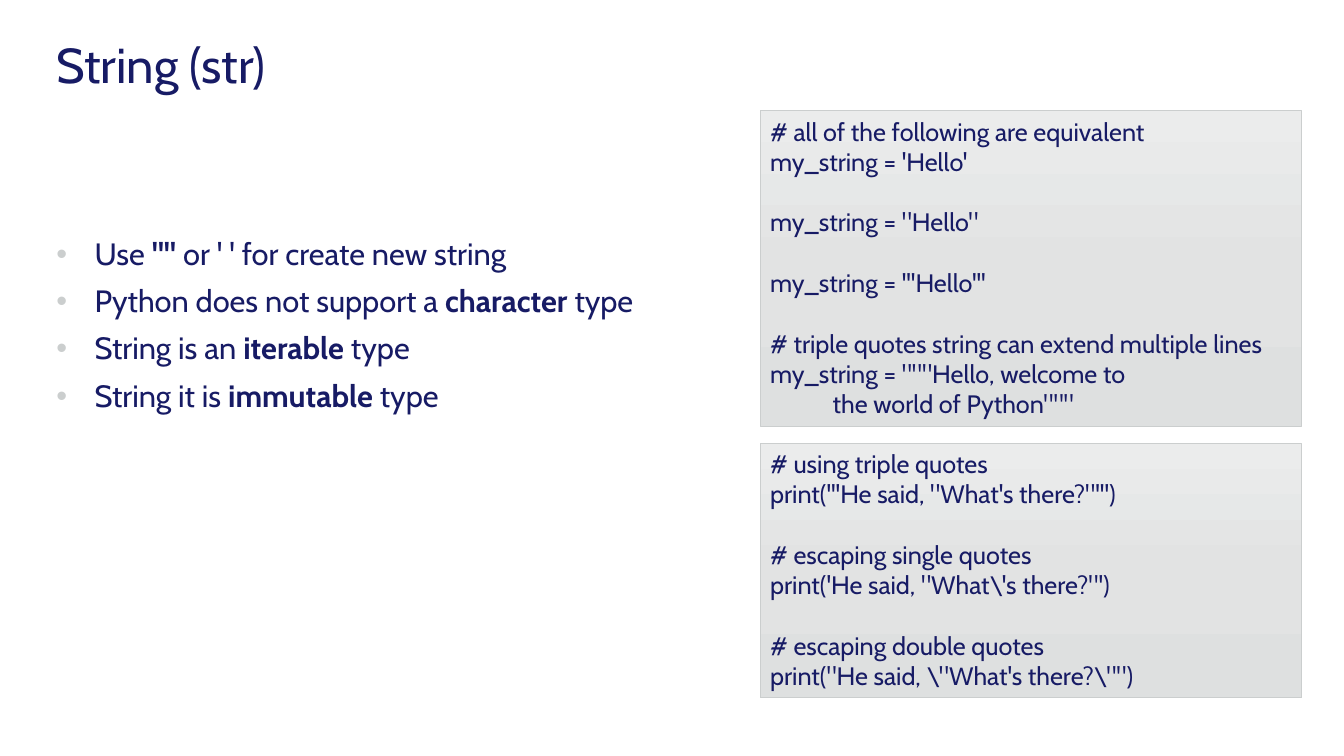
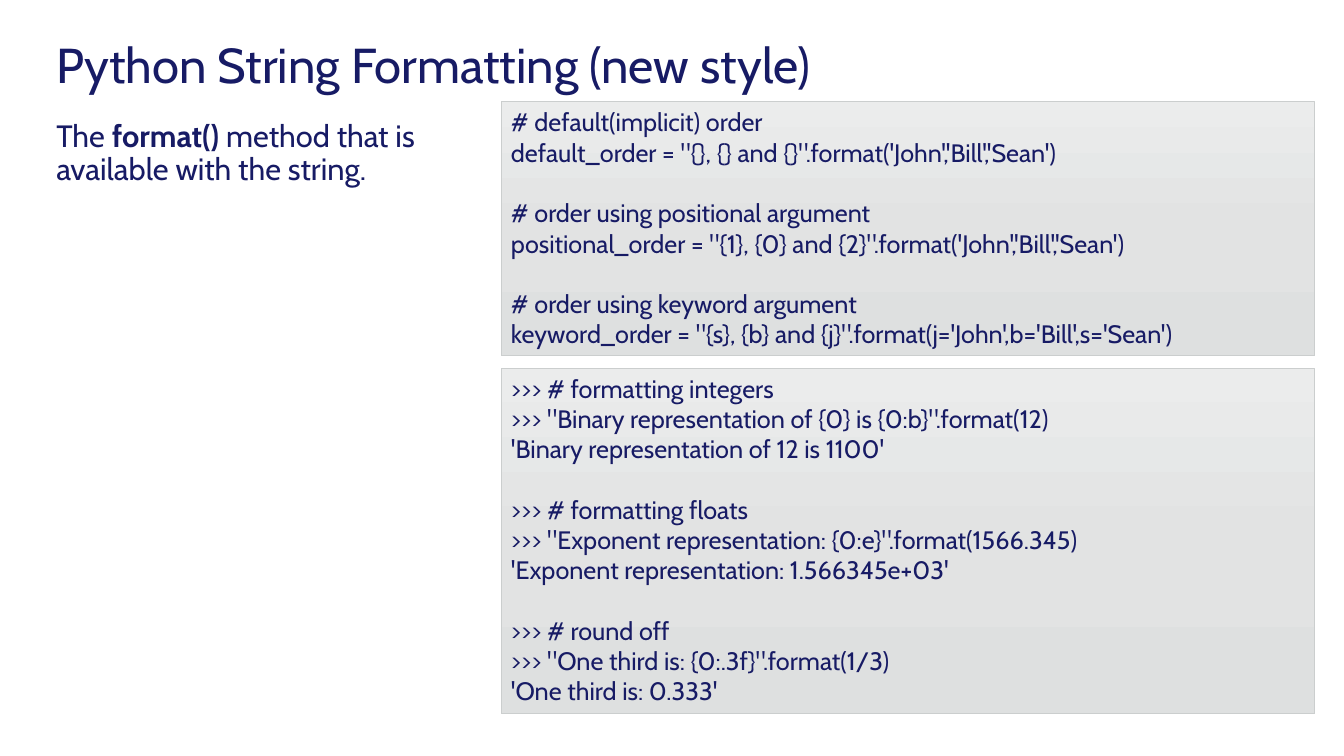
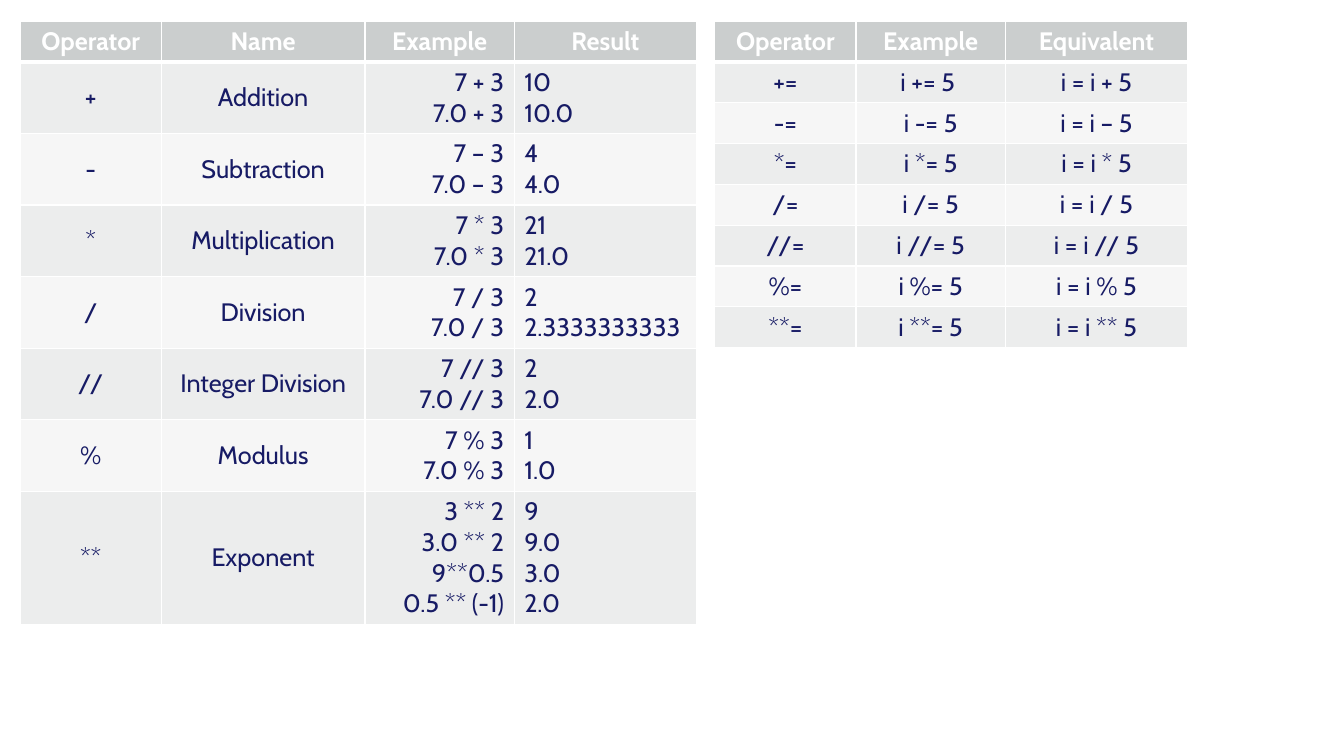
"""Build three slides on Python strings and operators."""
from lxml import etree
from pptx import Presentation
from pptx.dml.color import RGBColor
from pptx.enum.shapes import MSO_SHAPE
from pptx.enum.text import MSO_ANCHOR, MSO_AUTO_SIZE, PP_ALIGN
from pptx.oxml import parse_xml
from pptx.oxml.ns import nsdecls, qn
from pptx.util import Inches, Pt

RECTANGLE = MSO_SHAPE.RECTANGLE
TOP, MIDDLE = MSO_ANCHOR.TOP, MSO_ANCHOR.MIDDLE
NO_FIT, GROW = MSO_AUTO_SIZE.NONE, MSO_AUTO_SIZE.SHAPE_TO_FIT_TEXT
LEFT, CENTER, RIGHT = PP_ALIGN.LEFT, PP_ALIGN.CENTER, PP_ALIGN.RIGHT

FONT = "Cabin"
NAVY, WHITE, GRAY = "171B65", "FFFFFF", "CBCECE"
BANDS = ("ECEDED", "F6F6F6")
CODE_GRADIENT = ((0, "EBECEC"), (50, "E2E3E3"), (100, "DEE0E0"))
TITLE_SIZE, BODY_SIZE, CODE_SIZE = 35, 22, 18
CODE_GAP = 21.7
CONTINUATION_INDENT = 0.62
BULLET_INDENT = 0.38
CELL_PADDING, CELL_LINE = 0.1, 0.305

TEXT_SLIDES = [
    {
        "title": "String (str)",
        "body": [
            [("Use ", False), ('"" ', True), ("or ' ' for create new string", False)],
            [("Python does not support a ", False), ("character ", True), ("type", False)],
            [("String is an ", False), ("iterable", True), (" type", False)],
            [("String it is ", False), ("immutable ", True), ("type", False)],
        ],
        "body_box": (0.46, 2.32, 6.85, 4),
        "bullets": True,
        "code": [
            ((7.54, 1.1, 5.37, 3.13), [
                ["# all of the following are equivalent", "my_string = 'Hello'"],
                ['my_string = "Hello"'],
                ["my_string = '''Hello'''"],
                ["# triple quotes string can extend multiple lines",
                 'my_string = """Hello, welcome to',
                 '\tthe world of Python"""'],
            ]),
            ((7.54, 4.4, 5.37, 2.52), [
                ["# using triple quotes", "print('''He said, \"What's there?\"''')"],
                ["# escaping single quotes", r"""print('He said, "What\'s there?"')"""],
                ["# escaping double quotes", r'''print("He said, \"What's there?\"")'''],
            ]),
        ],
    },
    {
        "title": "Python String Formatting (new style)",
        "body": [
            [("The ", False), ("format() ", True),
             ("method that is available with the string.", False)],
        ],
        "body_box": (0.46, 1.15, 4.18, 5.37),
        "bullets": False,
        "code": [
            ((4.97, 1.01, 8.07, 2.52), [
                ["# default(implicit) order",
                 "default_order = \"{}, {} and {}\".format('John','Bill','Sean')"],
                ["# order using positional argument",
                 "positional_order = \"{1}, {0} and {2}\".format('John','Bill','Sean')"],
                ["# order using keyword argument",
                 "keyword_order = \"{s}, {b} and {j}\".format(j='John',b='Bill',s='Sean')"],
            ]),
            ((4.97, 3.65, 8.07, 3.43), [
                [">>> # formatting integers",
                 '>>> "Binary representation of {0} is {0:b}".format(12)',
                 "'Binary representation of 12 is 1100'"],
                [">>> # formatting floats",
                 '>>> "Exponent representation: {0:e}".format(1566.345)',
                 "'Exponent representation: 1.566345e+03'"],
                [">>> # round off",
                 '>>> "One third is: {0:.3f}".format(1/3)',
                 "'One third is: 0.333'"],
            ]),
        ],
    },
]

TABLES = [
    {
        "left": 0.2,
        "widths": (1.4, 2.02, 1.48, 1.81),
        "alignments": (CENTER, CENTER, RIGHT, LEFT),
        "rows": [
            ("Operator", "Name", "Example", "Result"),
            ("+", "Addition", "7 + 3\n7.0 + 3", "10\n10.0"),
            ("-", "Subtraction", "7 – 3\n7.0 – 3", "4\n4.0"),
            ("*", "Multiplication", "7 * 3\n7.0 * 3", "21\n21.0"),
            ("/", "Division", "7 / 3\n7.0 / 3", "2\n2.3333333333"),
            ("//", "Integer Division", "7 // 3\n7.0 // 3", "2\n2.0"),
            ("%", "Modulus", "7 % 3\n7.0 % 3", "1\n1.0"),
            ("**", "Exponent", "3 ** 2\n3.0 ** 2\n9**0.5\n0.5 ** (-1)",
             "9\n9.0\n3.0\n2.0"),
        ],
    },
    {
        "left": 7.09,
        "widths": (1.4, 1.48, 1.81),
        "alignments": (CENTER, CENTER, CENTER),
        "rows": [
            ("Operator", "Example", "Equivalent"),
            ("+=", "i += 5 ", "i = i + 5"),
            ("-=", "i -= 5", "i = i – 5"),
            ("*=", "i *= 5", "i = i * 5"),
            ("/=", "i /= 5", "i = i / 5"),
            ("//=", "i //= 5", "i = i // 5"),
            ("%=", "i %= 5", "i = i % 5"),
            ("**=", "i **= 5", "i = i ** 5"),
        ],
    },
]
TABLE_TOP = 0.21


def color(value):
    return RGBColor.from_string(value)


def box_inches(box):
    return [Inches(length) for length in box]


def add_run(paragraph, text, size, text_color=NAVY, bold=False):
    run = paragraph.add_run()
    run.text = text
    run.font.name = FONT
    run.font.size = Pt(size)
    run.font.bold = bold
    run.font.color.rgb = color(text_color)


def paragraphs_for(frame, items):
    """Yield index, paragraph and item, reusing the first paragraph."""
    for index, item in enumerate(items):
        yield index, frame.add_paragraph() if index else frame.paragraphs[0], item


def add_title(slide, text):
    title = slide.shapes.title
    title.left, title.top, title.width, title.height = box_inches((0.46, 0.38, 12.59, 0.58))
    frame = title.text_frame
    frame.auto_size = NO_FIT
    frame.vertical_anchor = MIDDLE
    paragraph = frame.paragraphs[0]
    paragraph.alignment = LEFT
    paragraph.line_spacing = 0.9
    add_run(paragraph, text, TITLE_SIZE)


def add_bullet(paragraph):
    properties = paragraph._p.get_or_add_pPr()
    indent = Inches(BULLET_INDENT)
    properties.set("marL", str(indent))
    properties.set("indent", str(-indent))
    bullet_color = etree.SubElement(properties, qn("a:buClr"))
    etree.SubElement(bullet_color, qn("a:srgbClr"), val=GRAY)
    etree.SubElement(properties, qn("a:buFont"), typeface="Arial")
    etree.SubElement(properties, qn("a:buChar"), char="•")


def add_body(slide, box, lines, bullets):
    frame = slide.shapes.add_textbox(*box_inches(box)).text_frame
    frame.word_wrap = True
    for index, paragraph, runs in paragraphs_for(frame, lines):
        paragraph.line_spacing = 0.9
        paragraph.space_before = Pt(10 if index else 0)
        if bullets:
            add_bullet(paragraph)
        for text, bold in runs:
            add_run(paragraph, text, BODY_SIZE, bold=bold)


def add_code(slide, box, blocks):
    shape = slide.shapes.add_shape(RECTANGLE, *box_inches(box))
    stops = "".join(f'<a:gs pos="{position * 1000}"><a:srgbClr val="{value}"/></a:gs>'
                    for position, value in CODE_GRADIENT)
    shape._element.spPr.insert(2, parse_xml(
        f'<a:gradFill {nsdecls("a")} rotWithShape="1"><a:gsLst>{stops}</a:gsLst>'
        '<a:lin ang="5400000" scaled="0"/></a:gradFill>'))
    shape.line.color.rgb = color(GRAY)
    shape.line.width = Pt(0.5)
    shape.shadow.inherit = False
    frame = shape.text_frame
    frame.word_wrap = True
    frame.auto_size = GROW
    frame.vertical_anchor = TOP
    lines = [(line, position == 0) for block in blocks for position, line in enumerate(block)]
    for index, paragraph, (line, starts_block) in paragraphs_for(frame, lines):
        paragraph.alignment = LEFT
        if index and starts_block:
            paragraph.space_before = Pt(CODE_GAP)
        if line.startswith("\t"):
            paragraph._p.get_or_add_pPr().set("marL", str(Inches(CONTINUATION_INDENT)))
        add_run(paragraph, line.lstrip("\t"), CODE_SIZE)


def add_borders(cell, is_header):
    widths = {"lnL": 1, "lnR": 1, "lnT": 1, "lnB": 3 if is_header else 1}
    if not is_header:
        del widths["lnT"]
    properties = cell._tc.get_or_add_tcPr()
    for side, width in widths.items():
        border = etree.SubElement(properties, qn(f"a:{side}"), w=str(Pt(width)))
        fill = etree.SubElement(border, qn("a:solidFill"))
        etree.SubElement(fill, qn("a:srgbClr"), val=WHITE)


def fill_cell(cell, text, alignment, row_index):
    is_header = row_index == 0
    add_borders(cell, is_header)
    cell.fill.solid()
    cell.fill.fore_color.rgb = color(GRAY if is_header else BANDS[(row_index - 1) % 2])
    cell.vertical_anchor = TOP if is_header else MIDDLE
    for _, paragraph, line in paragraphs_for(cell.text_frame, text.split("\n")):
        paragraph.alignment = CENTER if is_header else alignment
        add_run(paragraph, line, CODE_SIZE, WHITE if is_header else NAVY, is_header)


def add_operator_table(slide, left, widths, alignments, rows):
    heights = [CELL_PADDING + CELL_LINE * max(text.count("\n") + 1 for text in row)
               for row in rows]
    box = box_inches((left, TABLE_TOP, sum(widths), sum(heights)))
    table = slide.shapes.add_table(len(rows), len(widths), *box).table
    table.horz_banding = False
    for column, width in zip(table.columns, widths):
        column.width = Inches(width)
    for row_index, (row, height) in enumerate(zip(rows, heights)):
        table.rows[row_index].height = Inches(height)
        for column_index, text in enumerate(row):
            fill_cell(table.cell(row_index, column_index), text,
                      alignments[column_index], row_index)


def main():
    presentation = Presentation()
    presentation.slide_width, presentation.slide_height = box_inches((13.33, 7.5))
    title_only, blank = presentation.slide_layouts[5], presentation.slide_layouts[6]
    for content in TEXT_SLIDES:
        slide = presentation.slides.add_slide(title_only)
        add_title(slide, content["title"])
        add_body(slide, content["body_box"], content["body"], content["bullets"])
        for box, blocks in content["code"]:
            add_code(slide, box, blocks)
    slide = presentation.slides.add_slide(blank)
    for table in TABLES:
        add_operator_table(slide, **table)
    presentation.save("out.pptx")


if __name__ == "__main__":
    main()
